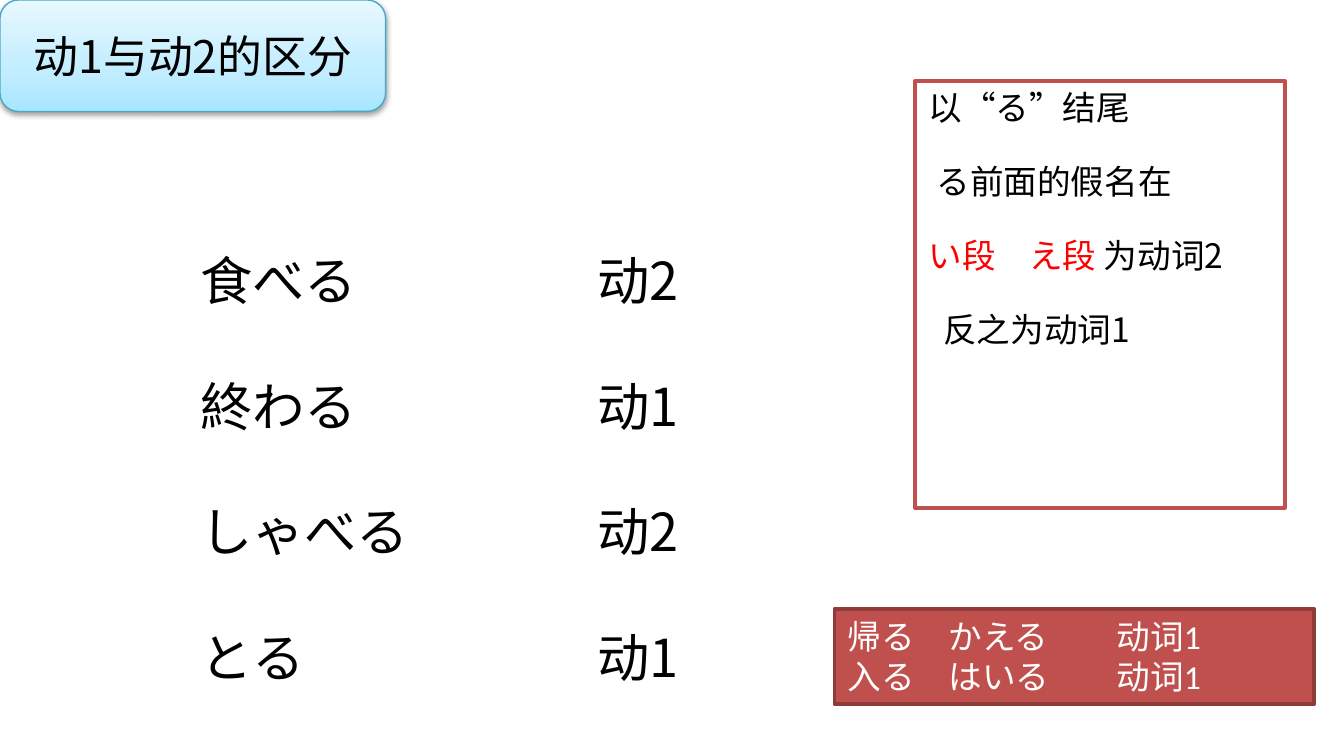
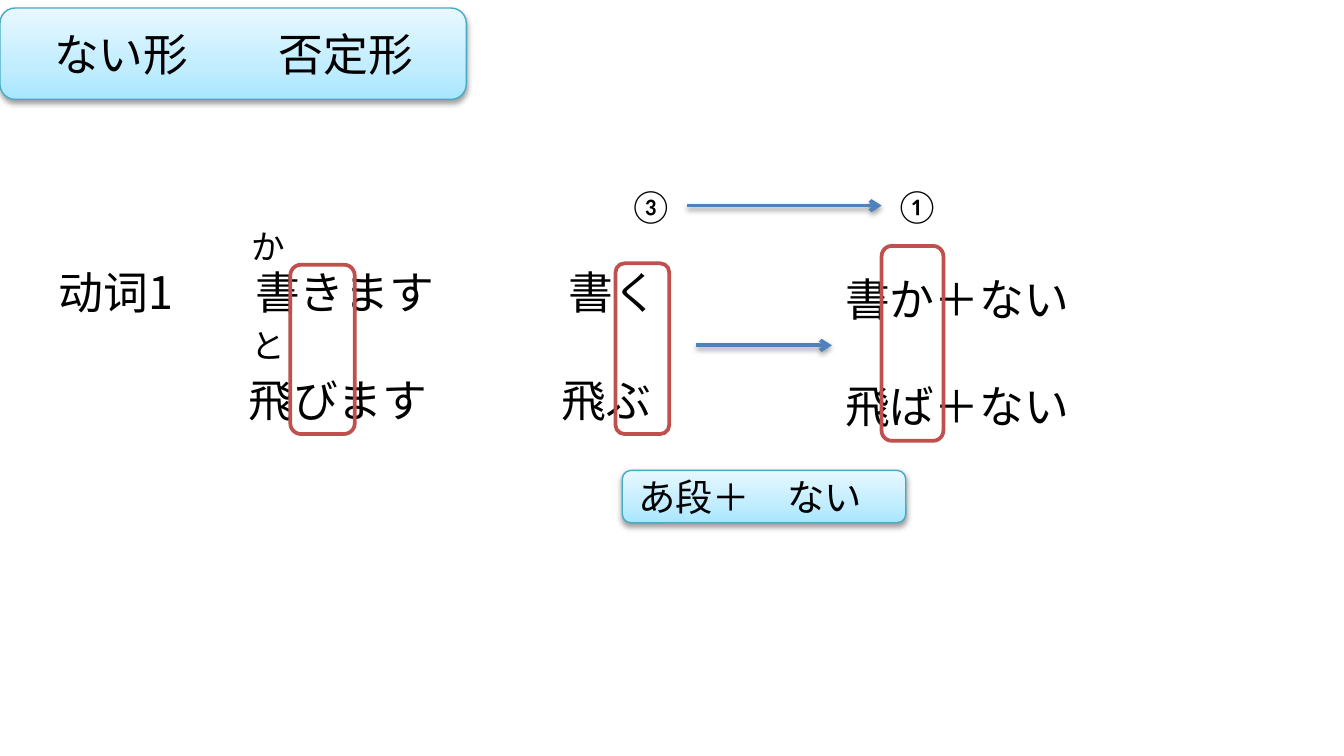
from lxml.etree import SubElement
from pptx import Presentation
from pptx.dml.color import RGBColor
from pptx.enum.shapes import MSO_CONNECTOR, MSO_SHAPE
from pptx.enum.text import MSO_ANCHOR, PP_ALIGN
from pptx.oxml import parse_xml
from pptx.oxml.ns import nsdecls, qn
from pptx.util import Inches, Pt

BLACK = RGBColor(0x00, 0x00, 0x00)
WHITE = RGBColor(0xFF, 0xFF, 0xFF)
RED = RGBColor(0xFF, 0x00, 0x00)
BRICK = RGBColor(0xC0, 0x50, 0x4D)
DARK_BRICK = RGBColor(0x8E, 0x3B, 0x39)
TEAL = RGBColor(0x46, 0xAA, 0xC5)
BLUE = RGBColor(0x4F, 0x81, 0xBD)
SKY = RGBColor(0xA7, 0xE6, 0xFF)
PALE_SKY = RGBColor(0xC1, 0xED, 0xFF)
MIST = RGBColor(0xE7, 0xF8, 0xFF)
SKY_STOPS = ((0, SKY), (35, PALE_SKY), (100, MIST))
CJK = "Noto Sans CJK SC"
LATIN = "Calibri"


def write_line(box, text, size=18, font=CJK, color=BLACK, align=PP_ALIGN.LEFT,
               gap=0, indent=0, tabs=()):
    frame = box.text_frame
    first = not frame.text
    para = frame.paragraphs[0] if first else frame.add_paragraph()
    para.alignment = align
    if gap and not first:
        para.space_before = Pt(gap)
    properties = para._p.get_or_add_pPr()
    if indent:
        properties.set("marL", str(Inches(indent)))
    if tabs:
        stops = SubElement(properties, qn("a:tabLst"))
        for position in tabs:
            SubElement(stops, qn("a:tab"), pos=str(Inches(position)), algn="l")
    parts = [(text, color)] if isinstance(text, str) else text
    for words, tint in parts:
        span = para.add_run()
        span.text = words
        span.font.size = Pt(size)
        span.font.name = font
        span.font.color.rgb = tint
        SubElement(span._r.get_or_add_rPr(), qn("a:ea"), typeface=CJK)


class SlideMaker:
    def __init__(self, deck):
        self.deck = deck
        self.slide = None

    def new_slide(self):
        self.slide = self.deck.slides.add_slide(self.deck.slide_layouts[6])

    def text(self, left, top, width, height, lines, **style):
        box = self.slide.shapes.add_textbox(
            Inches(left), Inches(top), Inches(width), Inches(height))
        box.text_frame.word_wrap = True
        for line in lines:
            write_line(box, line, **style)
        return box

    def shape(self, kind, left, top, width, height, line, weight=2, fill=None):
        box = self.slide.shapes.add_shape(
            kind, Inches(left), Inches(top), Inches(width), Inches(height))
        box.shadow.inherit = False
        box.line.color.rgb = line
        box.line.width = Pt(weight)
        if fill is None:
            box.fill.background()
        else:
            box.fill.solid()
            box.fill.fore_color.rgb = fill
        box.text_frame.vertical_anchor = MSO_ANCHOR.TOP
        return box

    def panel(self, left, top, width, height, line, fill):
        return self.shape(MSO_SHAPE.RECTANGLE, left, top, width, height, line, fill=fill)

    def frame(self, left, top, width, height):
        return self.shape(MSO_SHAPE.ROUNDED_RECTANGLE, left, top, width, height, BRICK)

    def shade(self, properties):
        effects = properties.find(qn("a:effectLst"))
        if effects is None:
            effects = SubElement(properties, qn("a:effectLst"))
        effects.append(parse_xml(
            f'<a:outerShdw {nsdecls("a")} blurRad="{Pt(3.1)}" dist="{Pt(1.6)}" '
            'dir="5400000" rotWithShape="0"><a:srgbClr val="000000">'
            '<a:alpha val="38000"/></a:srgbClr></a:outerShdw>'))

    def label(self, left, top, width, height, text, inset=0.1, **style):
        box = self.shape(MSO_SHAPE.ROUNDED_RECTANGLE, left, top, width, height,
                         TEAL, weight=0.75)
        properties = box._element.spPr
        stops = "".join(
            f'<a:gs pos="{place * 1000}"><a:srgbClr val="{color}"/></a:gs>'
            for place, color in SKY_STOPS)
        gradient = parse_xml(
            f'<a:gradFill {nsdecls("a")} rotWithShape="1"><a:gsLst>{stops}</a:gsLst>'
            '<a:lin ang="16200000" scaled="0"/></a:gradFill>')
        properties.replace(properties.find(qn("a:noFill")), gradient)
        self.shade(properties)
        box.text_frame.word_wrap = True
        box.text_frame.margin_left = Inches(inset)
        box.text_frame.vertical_anchor = MSO_ANCHOR.MIDDLE
        write_line(box, text, **style)

    def arrow(self, start, end):
        points = [Inches(value) for value in (*start, *end)]
        arrow = self.slide.shapes.add_connector(MSO_CONNECTOR.STRAIGHT, *points)
        arrow.line.color.rgb = BLUE
        arrow.line.width = Pt(2)
        SubElement(arrow.line._get_or_add_ln(), qn("a:tailEnd"), type="arrow")
        self.shade(arrow._element.spPr)
        return arrow


def build_verb_groups(maker):
    maker.new_slide()
    exceptions = maker.panel(6.21, 4.53, 3.57, 0.71, DARK_BRICK, BRICK)
    for line in ("帰る\tかえる\t动词1", "入る\tはいる\t动词1"):
        write_line(exceptions, line, font=LATIN, color=WHITE, tabs=(0.75, 2))

    verbs = ("食べる", "終わる", "しゃべる", "とる")
    groups = ("动2", "动1", "动2", "动1")
    maker.text(1.39, 1.8, 1.97, 3.4, verbs, size=28, gap=33.6)
    maker.text(4.35, 1.8, 2.23, 3.4, groups, size=28, gap=33.6)

    rule = maker.panel(6.81, 0.6, 2.75, 3.18, BRICK, WHITE)
    rule_lines = (
        ("以“る”结尾", 0),
        ("る前面的假名在", 0.06),
        ((("い段　え段 ", RED), ("为动词2", BLACK)), 0),
        ("反之为动词1", 0.11),
    )
    for line, indent in rule_lines:
        write_line(rule, line, gap=18, indent=indent)

    maker.label(0, 0, 2.87, 0.83, "动1与动2的区分", size=24, align=PP_ALIGN.CENTER)


def build_negative_form(maker):
    maker.new_slide()
    maker.label(0, 0.06, 3.47, 0.68, "ない形\t否定形", inset=0.37, size=24, tabs=(1.67,))

    verbs = maker.text(0.34, 1.92, 4.96, 1.31, ())
    write_line(verbs, "动词1\t書きます\t書く", size=24, tabs=(1.46, 3.79))
    write_line(verbs, "\t飛びます\t飛ぶ", size=24, gap=28.9, tabs=(1.41, 3.74))
    maker.frame(4.58, 1.96, 0.4, 1.27)
    maker.frame(2.16, 1.97, 0.48, 1.26)
    maker.arrow((5.18, 2.57), (6.19, 2.57))
    maker.text(6.19, 1.97, 2.44, 1.31, ("書か＋ない", "飛ば＋ない"), size=24, gap=28.9)
    maker.label(4.63, 3.5, 2.11, 0.39, "あ段＋　ない", size=20)

    third_row = maker.text(4.58, 1.33, 0.53, 0.4, ("③",), font=LATIN)
    first_row = maker.text(6.56, 1.33, 0.68, 0.4, ("①",), font=LATIN)
    shift = maker.arrow((5.11, 1.53), (6.56, 1.53))
    shift.begin_connect(third_row, 3)
    shift.end_connect(first_row, 1)
    maker.frame(6.56, 1.83, 0.46, 1.45)

    for top, width, reading in ((1.63, 0.56, "か"), (2.37, 0.68, "と")):
        maker.text(1.77, top, width, 0.4, (reading,), font=LATIN)


def main():
    deck = Presentation()
    deck.slide_width = Inches(10)
    deck.slide_height = deck.slide_width * 9 // 16
    maker = SlideMaker(deck)
    build_verb_groups(maker)
    build_negative_form(maker)
    deck.save("out.pptx")


if __name__ == "__main__":
    main()
